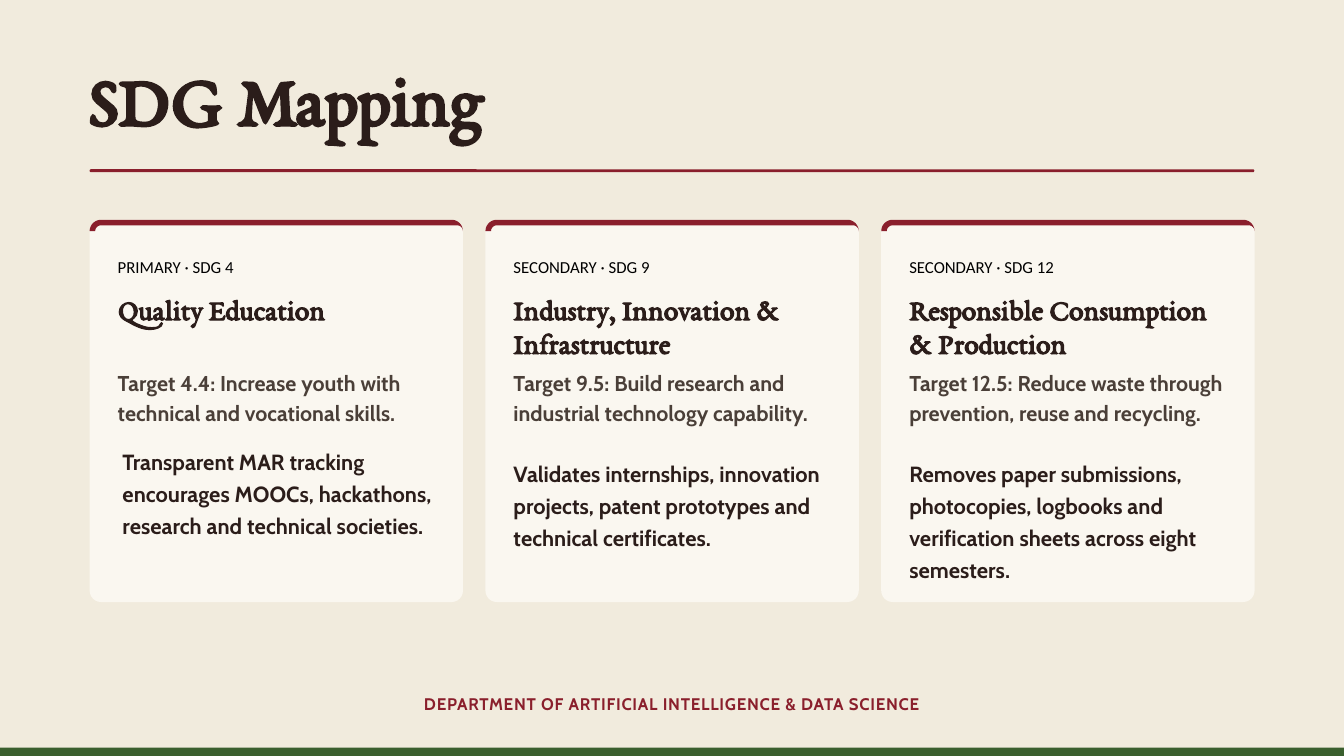
from dataclasses import dataclass
from math import cos, radians, sin

from pptx import Presentation
from pptx.dml.color import RGBColor
from pptx.enum import shapes, text
from pptx.util import Cm, Pt

COLORS = {
    "background": "F1EBDD",
    "card": "FAF7F0",
    "accent": "8A1F2C",
    "band": "3A5F2E",
    "dark": "2B1D1A",
    "muted": "4A3F38",
    "black": "000000",
}

# Card geometry in centimetres
LEFT, TOP, WIDTH, HEIGHT, PITCH = 3.39, 8.31, 14.11, 14.45, 14.96
RADIUS, INNER_RADIUS = 0.43, 0.22
PADDING, TEXT_WIDTH = 1.06, 12.34


@dataclass(frozen=True)
class TextStyle:
    font: str
    size: float
    line: float
    color: str
    bold: bool = True
    align: text.PP_ALIGN = text.PP_ALIGN.LEFT
    tracking: int = 0


@dataclass(frozen=True)
class Card:
    label: str
    goal: str
    target: str
    evidence: str
    evidence_shift: tuple[float, float] = (0, 0)


STYLES = {
    "title": TextStyle("EB Garamond", 78, 81.9, "dark"),
    "label": TextStyle("Calibri", 18, 29.4, "black", bold=False),
    "goal": TextStyle("EB Garamond", 31.5, 36.2, "dark"),
    "target": TextStyle("Cabin", 23, 32.2, "muted"),
    "evidence": TextStyle("Cabin", 23.5, 34.1, "dark"),
    "footer": TextStyle("Cabin", 18, 25.2, "accent",
                        align=text.PP_ALIGN.CENTER, tracking=80),
}

# Top and height of each text in a card
ROWS = {
    "label": (9.42, 1.3),
    "goal": (11.05, 2.64),
    "target": (13.84, 2.6),
    "evidence": (17.22, 4.75),
}

CARDS = [
    Card("PRIMARY · SDG 4", "Quality Education",
         "Target 4.4: Increase youth with technical and vocational skills.",
         "Transparent MAR tracking encourages MOOCs, hackathons, "
         "research and technical societies.", (0.18, -0.46)),
    Card("SECONDARY · SDG 9", "Industry, Innovation & Infrastructure",
         "Target 9.5: Build research and industrial technology capability.",
         "Validates internships, innovation projects, patent prototypes "
         "and technical certificates."),
    Card("SECONDARY · SDG 12", "Responsible Consumption & Production",
         "Target 12.5: Reduce waste through prevention, reuse and recycling.",
         "Removes paper submissions, photocopies, logbooks and "
         "verification sheets across eight semesters."),
]


def rgb(name: str) -> RGBColor:
    return RGBColor.from_string(COLORS[name])


def paint(shape, color: str) -> None:
    shape.shadow.inherit = False
    shape.fill.solid()
    shape.fill.fore_color.rgb = rgb(color)
    shape.line.fill.background()


def write(shape, content: str, style: TextStyle) -> None:
    frame = shape.text_frame
    frame_format = {
        "margin_left": 0, "margin_top": 0, "margin_right": 0, "margin_bottom": 0,
        "word_wrap": True,
        "auto_size": text.MSO_AUTO_SIZE.NONE,
        "vertical_anchor": text.MSO_ANCHOR.TOP,
    }
    for name, value in frame_format.items():
        setattr(frame, name, value)
    paragraph = frame.paragraphs[0]
    paragraph.alignment = style.align
    paragraph.line_spacing = Pt(style.line)
    run = paragraph.add_run()
    run.text = content
    font_format = {"name": style.font, "size": Pt(style.size), "bold": style.bold}
    for name, value in font_format.items():
        setattr(run.font, name, value)
    run.font.color.rgb = rgb(style.color)
    if style.tracking:
        run._r.get_or_add_rPr().set("spc", str(style.tracking))


def add_text(slide, content: str, style: TextStyle, left: float, top: float,
             width: float, height: float) -> None:
    box = slide.shapes.add_textbox(Cm(left), Cm(top), Cm(width), Cm(height))
    write(box, content, style)


def add_block(slide, color: str, left: float, top: float, width: float,
              height: float, radius: float = 0) -> None:
    kind = shapes.MSO_SHAPE.ROUNDED_RECTANGLE if radius else shapes.MSO_SHAPE.RECTANGLE
    shape = slide.shapes.add_shape(kind, Cm(left), Cm(top), Cm(width), Cm(height))
    if radius:
        shape.adjustments[0] = radius / min(width, height)
    paint(shape, color)


def arc(x: float, y: float, radius: float, start: int, end: int) -> list:
    """Points on a quarter circle, with angles clockwise from the right."""
    angles = [radians(start + (end - start) * step / 12) for step in range(13)]
    return [(Cm(x + radius * cos(a)), Cm(y + radius * sin(a))) for a in angles]


def add_cap(slide, left: float) -> None:
    right, base = left + WIDTH, TOP + RADIUS
    points = (arc(left + RADIUS, base, RADIUS, 180, 270)
              + arc(right - RADIUS, base, RADIUS, 270, 360)
              + arc(right - INNER_RADIUS, base, INNER_RADIUS, 360, 270)
              + arc(left + RADIUS, base, INNER_RADIUS, 270, 180))
    builder = slide.shapes.build_freeform(*points[0])
    builder.add_line_segments(points[1:], close=True)
    paint(builder.convert_to_shape(), "accent")


def add_card(slide, card: Card, left: float) -> None:
    add_block(slide, "card", left, TOP, WIDTH, HEIGHT, RADIUS)
    add_cap(slide, left)
    for part, (top, height) in ROWS.items():
        shift_x, shift_y = card.evidence_shift if part == "evidence" else (0, 0)
        add_text(slide, getattr(card, part), STYLES[part],
                 left + PADDING + shift_x, top + shift_y, TEXT_WIDTH, height)


def main() -> None:
    presentation = Presentation()
    presentation.slide_width, presentation.slide_height = Cm(50.8), Cm(28.58)
    slide = presentation.slides.add_slide(presentation.slide_layouts[5])
    slide.background.fill.solid()
    slide.background.fill.fore_color.rgb = rgb("background")

    # Title and rule
    title = slide.shapes.title
    title_place = {"left": 3.35, "top": 2.41, "width": 45.34, "height": 2.67}
    for name, value in title_place.items():
        setattr(title, name, Cm(value))
    write(title, "SDG Mapping", STYLES["title"])
    add_block(slide, "accent", LEFT, 6.4, 44.02, 0.11, 0.05)

    # Goal cards
    for index, card in enumerate(CARDS):
        add_card(slide, card, LEFT + index * PITCH)

    # Footer and bottom band
    add_text(slide, "DEPARTMENT OF ARTIFICIAL INTELLIGENCE & DATA SCIENCE",
             STYLES["footer"], 12.32, 26.11, 26.16, 1.09)
    add_block(slide, "band", 0, 28.26, 50.8, 0.32)

    presentation.save("out.pptx")


if __name__ == "__main__":
    main()
